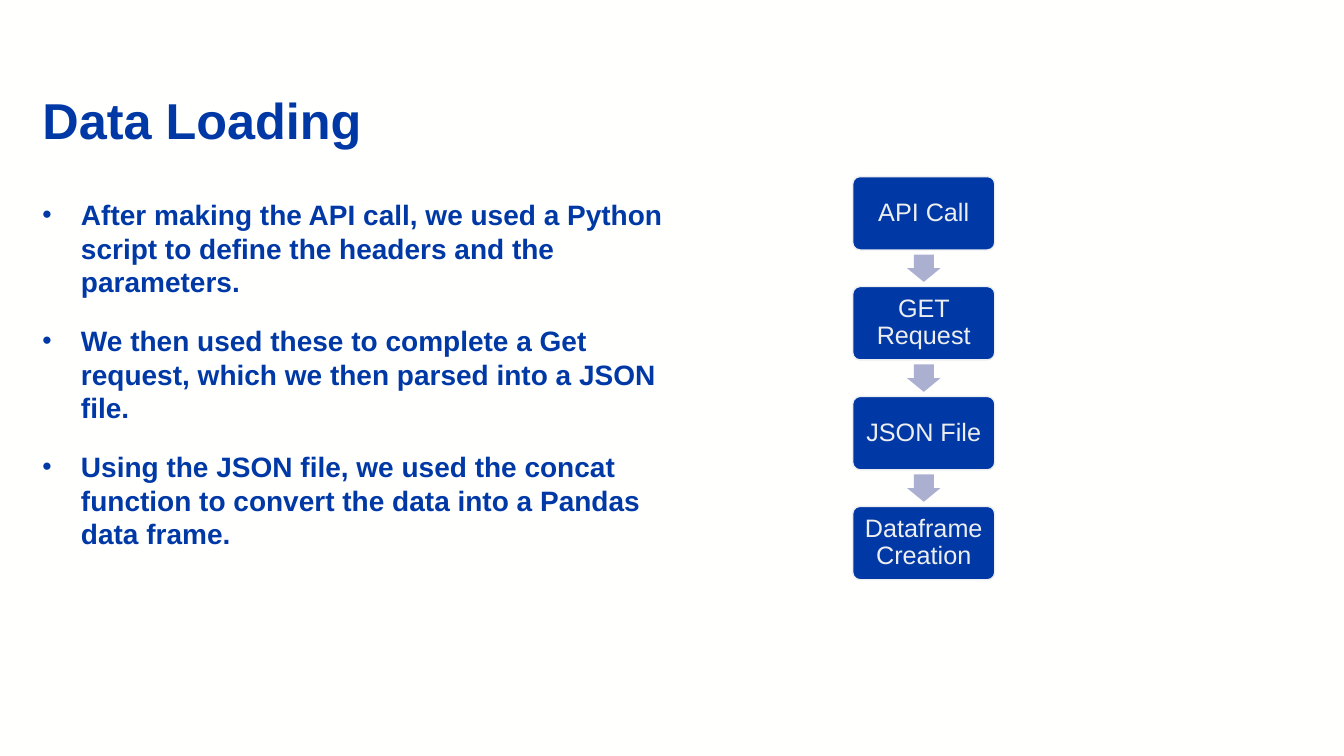
from dataclasses import dataclass

from lxml import etree
from pptx import Presentation
from pptx.dml.color import RGBColor
from pptx.enum.shapes import MSO_SHAPE
from pptx.enum.text import MSO_ANCHOR, MSO_AUTO_SIZE, PP_ALIGN
from pptx.oxml.ns import qn
from pptx.shapes.base import BaseShape
from pptx.slide import Slide
from pptx.text.text import TextFrame, _Paragraph
from pptx.util import Cm, Pt

ROUNDED_BOX = MSO_SHAPE.ROUNDED_RECTANGLE
ARROW = MSO_SHAPE.RIGHT_ARROW
LEFT = PP_ALIGN.LEFT
CENTER = PP_ALIGN.CENTER
TOP = MSO_ANCHOR.TOP
MIDDLE = MSO_ANCHOR.MIDDLE
BOTTOM = MSO_ANCHOR.BOTTOM
FIXED_SIZE = MSO_AUTO_SIZE.NONE
GROW = MSO_AUTO_SIZE.SHAPE_TO_FIT_TEXT

BACKGROUND = RGBColor(0xFF, 0xFF, 0xFE)
BLUE = RGBColor(0x00, 0x39, 0xA6)
PALE = RGBColor(0xED, 0xEE, 0xEF)
LAVENDER = RGBColor(0xAB, 0xAF, 0xD0)
FONT = "Arial"

BOX_LEFT = 21.49
BOX_TOP = 4.45
BOX_WIDTH = 3.58
BOX_HEIGHT = 1.85
STEP_PITCH = 2.77
ARROW_LENGTH = 0.69
ARROW_BREADTH = 0.84
BULLET_INDENT = Cm(0.97)


@dataclass(frozen=True)
class TextStyle:
    size: int
    color: RGBColor
    bold: bool


@dataclass(frozen=True)
class Step:
    label: str
    position: int

    @property
    def top(self) -> float:
        return BOX_TOP + self.position * STEP_PITCH


TITLE_STYLE = TextStyle(36, BLUE, True)
BODY_STYLE = TextStyle(20, BLUE, True)
STEP_STYLE = TextStyle(18, PALE, False)

BULLETS = [
    "After making the API call, we used a Python script to define the headers and the parameters.",
    "We then used these to complete a Get request, which we then parsed into a JSON file.",
    "Using the JSON file, we used the concat function to convert the data into a Pandas data frame.",
]
STEP_LABELS = ["API Call", "GET Request", "JSON File", "Dataframe Creation"]
STEPS = [Step(label, position) for position, label in enumerate(STEP_LABELS)]


def place(shape: BaseShape, left: float, top: float, width: float, height: float) -> None:
    shape.left, shape.top = Cm(left), Cm(top)
    shape.width, shape.height = Cm(width), Cm(height)


def format_frame(frame: TextFrame, anchor: MSO_ANCHOR, margin: float) -> None:
    frame.word_wrap = True
    frame.vertical_anchor = anchor
    frame.margin_left = frame.margin_right = Cm(margin)
    frame.margin_top = frame.margin_bottom = Cm(margin)


def add_run(paragraph: _Paragraph, text: str, style: TextStyle) -> None:
    run = paragraph.add_run()
    run.text = text
    run.font.name = FONT
    run.font.size = Pt(style.size)
    run.font.bold = style.bold
    run.font.color.rgb = style.color


def add_bullet(paragraph: _Paragraph) -> None:
    properties = paragraph._p.get_or_add_pPr()
    properties.set("marL", str(BULLET_INDENT))
    properties.set("indent", str(-BULLET_INDENT))
    etree.SubElement(properties, qn("a:buSzPct"), val="95000")
    etree.SubElement(properties, qn("a:buFont"), typeface=FONT)
    etree.SubElement(properties, qn("a:buChar"), char="•")


def fill_title(slide: Slide) -> None:
    title = slide.shapes.title
    place(title, 1.07, 2.39, 31.75, 1.4)
    frame = title.text_frame
    format_frame(frame, BOTTOM, 0)
    frame.auto_size = GROW
    paragraph = frame.paragraphs[0]
    paragraph.alignment = LEFT
    paragraph.line_spacing = 0.9
    add_run(paragraph, "Data Loading", TITLE_STYLE)


def fill_body(slide: Slide) -> None:
    body = slide.placeholders[1]
    place(body, 1.07, 4.98, 15.88, 11.58)
    frame = body.text_frame
    format_frame(frame, TOP, 0)
    frame.auto_size = FIXED_SIZE
    for index, text in enumerate(BULLETS):
        paragraph = frame.add_paragraph() if index else frame.paragraphs[0]
        paragraph.alignment = LEFT
        paragraph.line_spacing = Pt(24)
        paragraph.space_before = Pt(18)
        add_bullet(paragraph)
        add_run(paragraph, text, BODY_STYLE)


def add_step(slide: Slide, step: Step) -> None:
    box = slide.shapes.add_shape(
        ROUNDED_BOX, Cm(BOX_LEFT), Cm(step.top), Cm(BOX_WIDTH), Cm(BOX_HEIGHT)
    )
    box.shadow.inherit = False
    box.adjustments[0] = 0.1
    box.fill.solid()
    box.fill.fore_color.rgb = BLUE
    box.line.color.rgb = PALE
    box.line.width = Pt(1)
    format_frame(box.text_frame, MIDDLE, 0.23)
    paragraph = box.text_frame.paragraphs[0]
    paragraph.alignment = CENTER
    paragraph.line_spacing = 0.9
    add_run(paragraph, step.label, STEP_STYLE)


def add_arrow_below(slide: Slide, step: Step) -> None:
    left = BOX_LEFT + (BOX_WIDTH - ARROW_LENGTH) / 2
    top = step.top + (BOX_HEIGHT + STEP_PITCH - ARROW_BREADTH) / 2
    arrow = slide.shapes.add_shape(
        ARROW, Cm(left), Cm(top), Cm(ARROW_LENGTH), Cm(ARROW_BREADTH)
    )
    arrow.rotation = 90
    arrow.shadow.inherit = False
    arrow.adjustments[0] = 0.6
    arrow.adjustments[1] = 0.5
    arrow.fill.solid()
    arrow.fill.fore_color.rgb = LAVENDER
    arrow.line.fill.background()


def main() -> None:
    presentation = Presentation()
    presentation.slide_width = Cm(33.87)
    presentation.slide_height = Cm(19.05)
    slide = presentation.slides.add_slide(presentation.slide_layouts[1])
    slide.background.fill.solid()
    slide.background.fill.fore_color.rgb = BACKGROUND
    fill_title(slide)
    fill_body(slide)
    for step in STEPS:
        add_step(slide, step)
    for step in STEPS[:-1]:
        add_arrow_below(slide, step)
    presentation.save("out.pptx")


if __name__ == "__main__":
    main()
